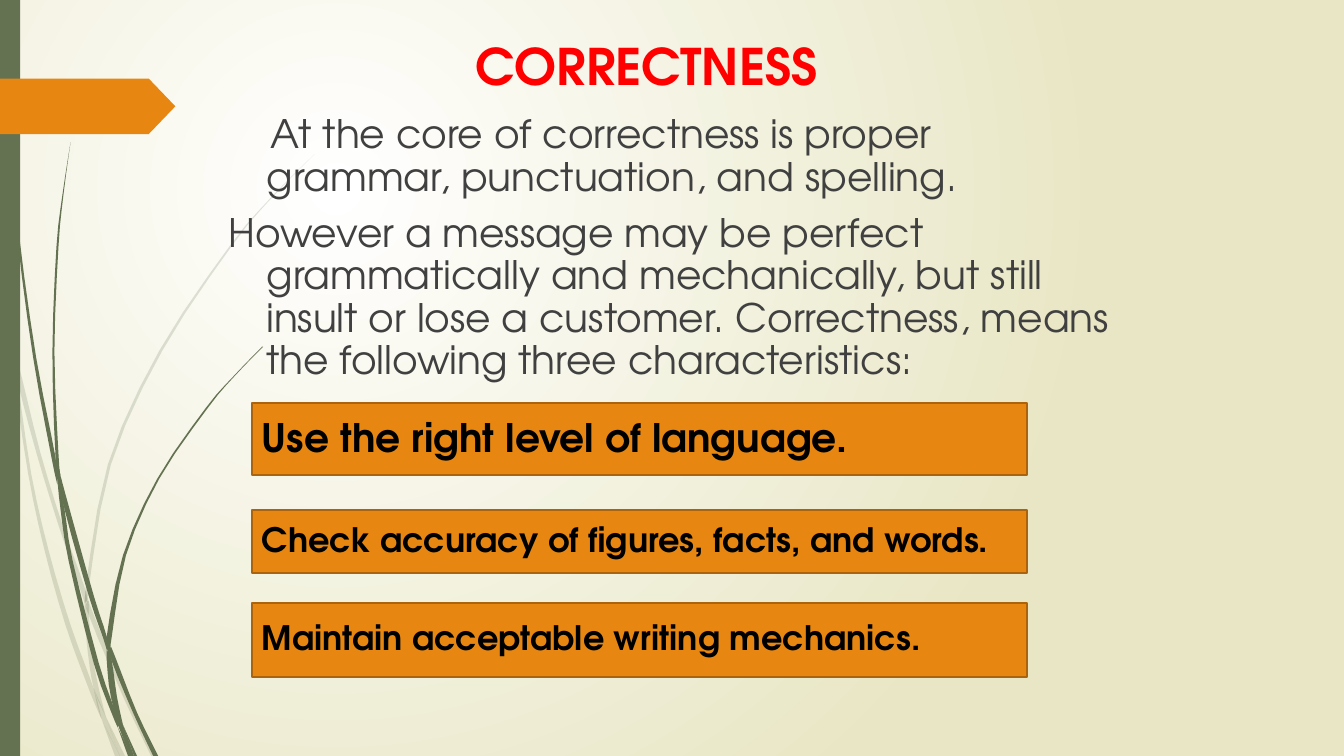
from lxml.etree import SubElement
from pptx import Presentation
from pptx.dml.color import RGBColor
from pptx.enum.shapes import MSO_SHAPE as Kind
from pptx.enum.text import MSO_ANCHOR as Anchor, PP_ALIGN as Align
from pptx.oxml.ns import qn
from pptx.util import Cm, Pt

FONT = "TeX Gyre Adventor"
GREEN, ORANGE, BROWN = "647252", "E78712", "AB640D"
WIDE, HIGH = 33.87, 19.05
UNIT = 2.54  # cm per unit of the blade tables
STEPS = 3

# Each blade is a list of slices: (y, left x, right x)
PALE = [
    [(2.82, 0, 0), (2.99, 0, .04), (3.22, .05, .09), (3.5, .11, .11)],
    [(3.45, .14, .14), (3.76, .17, .22), (4.49, .36, .4), (5.21, .58, .62),
     (5.86, .8, .85), (5.99, .84, .84)],
    [(5.96, .88, .88), (6.1, .88, .93), (6.93, 1.23, 1.27), (7.5, 1.5, 1.55)],
    [(7.11, 1.05, 1.05), (7.5, 1.19, 1.24)],
    [(3.5, .11, .11), (3.76, .14, .17), (4.7, .28, .31), (5.45, .44, .48),
     (6.2, .65, .7), (6.83, .88, .93), (7.14, 1.01, 1.01)],
    [(5.99, .84, .84), (6.1, .84, .88), (6.46, .87, .91), (6.83, .93, .98),
     (7.11, 1.05, 1.05)],
    [(1.53, 3.12, 3.12), (1.97, 2.68, 2.69), (2.44, 2.28, 2.3),
     (3.48, 1.58, 1.61), (4.61, 1.07, 1.1), (5.84, .85, .88), (5.96, .88, .88)],
    [(7.14, 1.01, 1.01), (7.5, 1.14, 1.19)],
    [(5.86, .85, .85), (5.98, .84, .88), (6.1, .88, .88)],
    [(6.83, .93, .93), (7.11, 1, 1.05), (7.5, 1.19, 1.19)],
]
DARK = [
    [(0, .03, .04), (1.1, .07, .08), (2.33, .17, .19), (3.55, .33, .36),
     (4.53, .51, .55), (4.81, .57, .57)],
    [(4.72, .6, .6), (5.05, .64, .69), (5.91, .88, .93), (6.32, 1.02, 1.06),
     (6.45, 1.06, 1.06)],
    [(6.41, 1.1, 1.1), (6.56, 1.11, 1.16), (7.07, 1.32, 1.36), (7.5, 1.52, 1.57)],
    [(4.77, .57, .57), (5.05, .6, .64), (5.56, .68, .72), (6.58, .93, .98),
     (7.08, 1.11, 1.15), (7.22, 1.17, 1.17)],
    [(1.41, .7, .7), (1.93, .62, .63), (2.45, .56, .58), (3.49, .52, .54),
     (4.5, .55, .58), (4.72, .6, .6)],
    [(7.19, 1.22, 1.22), (7.5, 1.33, 1.36)],
    [(4.49, .55, .55), (4.77, .57, .61), (5.05, .64, .64)],
    [(3.44, 2.6, 2.61), (3.74, 2.31, 2.32), (4.05, 2.04, 2.06),
     (4.75, 1.56, 1.58), (5.51, 1.22, 1.25), (6.31, 1.06, 1.11), (6.41, 1.1, 1.1)],
    [(7.22, 1.17, 1.17), (7.5, 1.27, 1.31)],
    [(6.45, 1.06, 1.06), (6.56, 1.06, 1.11), (6.91, 1.1, 1.16), (7.19, 1.22, 1.22)],
    [(6.31, 1.06, 1.06), (6.43, 1.06, 1.1), (6.56, 1.11, 1.11)],
    [(6.91, 1.1, 1.1), (7.19, 1.17, 1.22), (7.5, 1.3, 1.33)],
]
BODY = [
    (.12, "At the core of correctness is proper grammar, punctuation, "
          "and spelling."),
    (-.95, "However a message may be perfect grammatically and mechanically, "
           "but still insult or lose a customer. Correctness, means the "
           "following three characteristics:"),
]
BARS = [  # top, height, size, text
    (0, 1.82, 28, "Use the right level of language."),
    (2.69, 1.6, 24, "Check accuracy of figures, facts, and words."),
    (5.04, 1.86, 24, "Maintain acceptable writing mechanics."),
]


def tint(code):
    return RGBColor.from_string(code)


def paint(shape, fill, edge=None):
    shape.shadow.inherit = False
    shape.fill.solid()
    shape.fill.fore_color.rgb = tint(fill)
    if edge:
        shape.line.color.rgb = tint(edge)
        shape.line.width = Pt(1.25)
    else:
        shape.line.fill.background()


def block(slide, kind, x, y, w, h, fill, edge=None):
    shape = slide.shapes.add_shape(kind, Cm(x), Cm(y), Cm(w), Cm(h))
    paint(shape, fill, edge)
    return shape


def write(para, text, size, color, bold=False):
    run = para.add_run()
    run.text = text
    run.font.name, run.font.size, run.font.bold = FONT, Pt(size), bold
    run.font.color.rgb = tint(color)


def frame(slide, x, y, w, h):
    box = slide.shapes.add_textbox(Cm(x), Cm(y), Cm(w), Cm(h))
    box.text_frame.word_wrap = True
    return box.text_frame


def smooth(rows):
    """Put a Catmull-Rom curve through the slices of a blade."""
    ends = [rows[0], *rows, rows[-1]]
    for quad in zip(ends, ends[1:], ends[2:], ends[3:]):
        for step in range(STEPS):
            t = step / STEPS
            yield [b + t * (c - a + t * (2 * a - 5 * b + 4 * c - d
                   + t * (3 * b - a - 3 * c + d))) / 2 for a, b, c, d in zip(*quad)]
    yield rows[-1]


def grass(slide, x, y, blades, alpha=100):
    for rows in blades:
        cuts = list(smooth(rows))
        edge = [(a, v) for v, a, b in cuts] + [(b, v) for v, a, b in cuts[::-1]]
        dots = [(Cm(x + u * UNIT), Cm(y + v * UNIT)) for u, v in edge]
        pen = slide.shapes.build_freeform(*dots[0])
        pen.add_line_segments(dots[1:], close=True)
        blade = pen.convert_to_shape()
        paint(blade, GREEN)
        if alpha < 100:
            color = blade.element.find(".//" + qn("a:srgbClr"))
            SubElement(color, qn("a:alpha"), val=str(alpha * 1000))


def backdrop(slide):
    """Fill the slide with a round glow in its upper left quarter."""
    fill = slide.background.fill
    fill.gradient()
    for stop, code, place in zip(fill.gradient_stops, ("FFFFFF", "E8E6C4"), (0, 1)):
        stop.color.rgb = tint(code)
        stop.position = place
    grad = slide.element.find(".//" + qn("a:gradFill"))
    grad.remove(grad.find(qn("a:lin")))
    glow = SubElement(grad, qn("a:path"), path="circle")
    SubElement(glow, qn("a:fillToRect"), l="50000", t="50000", r="100000", b="100000")


def margin(slide, x, y, h):
    grass(slide, x, y, PALE, 20)
    grass(slide, x, y, DARK)
    block(slide, Kind.RECTANGLE, x, y, .51, h, GREEN)
    arrow = block(slide, Kind.PENTAGON, x, y + 1.98, 4.42, 1.4, ORANGE)
    arrow.adjustments[0] = .48


def title(slide, x, y, w, h):
    para = frame(slide, x, y, w, h).paragraphs[0]
    para.alignment = Align.CENTER
    write(para, "CORRECTNESS", 36, "FF0000", True)


def body(slide, x, y, w, h):
    text = frame(slide, x, y, w, h)
    for i, (indent, words) in enumerate(BODY):
        para = text.add_paragraph() if i else text.paragraphs[0]
        para.line_spacing = .9
        para.space_before = Pt(10 if i else 0)
        props = para._p.get_or_add_pPr()
        props.set("marL", str(Cm(.95)))
        props.set("indent", str(Cm(indent)))
        write(para, words, 28, "404040")


def bars(slide, x, y, w):
    for top, h, size, words in BARS:
        bar = block(slide, Kind.RECTANGLE, x, y + top, w, h, ORANGE, BROWN)
        text = bar.text_frame
        text.word_wrap = True
        text.vertical_anchor = Anchor.MIDDLE
        para = text.paragraphs[0]
        para.alignment = Align.LEFT
        para.line_spacing = .9
        write(para, words, size, "000000", True)


def main():
    deck = Presentation()
    deck.slide_width, deck.slide_height = Cm(WIDE), Cm(HIGH)
    slide = deck.slides.add_slide(deck.slide_layouts[6])
    backdrop(slide)
    margin(slide, 0, 0, HIGH)
    title(slide, 6.35, .76, 19.89, 2.01)
    body(slide, 5.51, 2.77, 22.86, 16.28)
    bars(slide, 6.35, 10.16, 19.53)
    deck.save("out.pptx")


if __name__ == "__main__":
    main()
